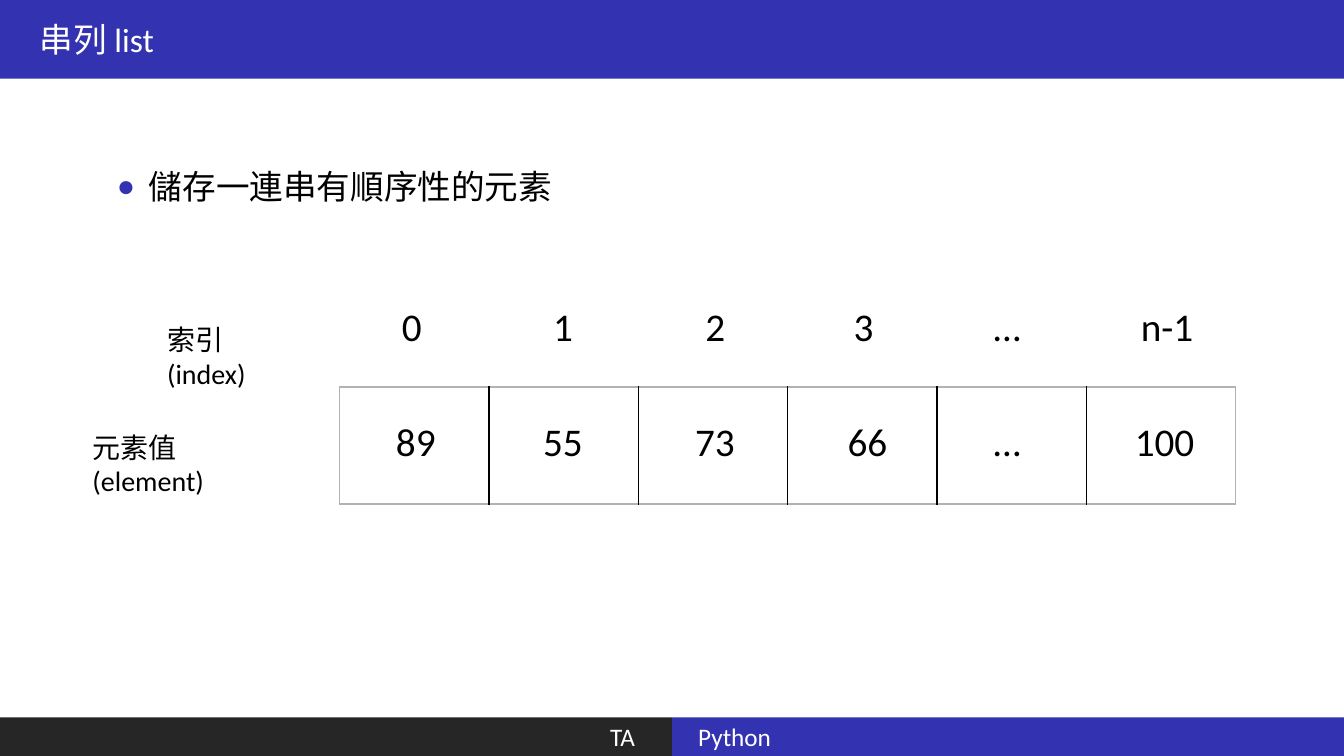
import pptx
import pptx.dml.color
import pptx.enum.shapes
import pptx.enum.text
import pptx.oxml
import pptx.oxml.ns
import pptx.util
from pptx.util import Cm

RGBColor = pptx.dml.color.RGBColor
BLUE = RGBColor(0x33, 0x33, 0xB2)
DARK = RGBColor(0x26, 0x26, 0x26)
GRAY = RGBColor(0xB2, 0xB2, 0xB2)
WHITE = RGBColor(0xFF, 0xFF, 0xFF)
BLACK = RGBColor(0, 0, 0)

ALIGN = pptx.enum.text.PP_ALIGN
ANCHOR = pptx.enum.text.MSO_ANCHOR
AUTO_SIZE = pptx.enum.text.MSO_AUTO_SIZE

SLIDE_W, SLIDE_H = Cm(33.87), Cm(19.05)
FOOTER_H = Cm(0.97)

INDEXES = [("0", 9.88, 1.02), ("1", 13.69, 1.02), ("2", 17.53, 1.02),
           ("3", 21.26, 1.02), ("…", 24.79, 1.19), ("n-1", 28.5, 1.85)]
ELEMENTS = [("89", 9.73, 1.52), ("55", 13.44, 1.52), ("73", 17.27, 1.52),
            ("66", 21.11, 1.52), ("…", 24.79, 1.19), ("100", 28.35, 2.03)]


def place(sp, left, top, width, height):
    sp.left, sp.top, sp.width, sp.height = left, top, width, height


def add_run(p, text, size, color):
    r = p.add_run()
    r.text = text
    r.font.name = "Calibri"
    r.font.size = pptx.util.Pt(size)
    r.font.color.rgb = color


def fill_bar(sp, color, text, size, align, inset):
    sp.fill.solid()
    sp.fill.fore_color.rgb = color
    tf = sp.text_frame
    tf.auto_size = AUTO_SIZE.NONE
    tf.vertical_anchor = ANCHOR.MIDDLE
    tf.margin_left = tf.margin_right = inset
    p = tf.paragraphs[0]
    p.alignment = align
    add_run(p, text, size, WHITE)


def add_footer(slide, left, color, text, align, inset):
    sp = slide.shapes.add_shape(pptx.enum.shapes.MSO_SHAPE.RECTANGLE, left,
                                SLIDE_H - FOOTER_H, SLIDE_W // 2, FOOTER_H)
    sp.shadow.inherit = False
    sp.line.fill.background()
    fill_bar(sp, color, text, 18, align, inset)


def format_bullet(sp, text):
    place(sp, Cm(2.69), Cm(4.06), Cm(12.01), Cm(1.27))
    tf = sp.text_frame
    tf.auto_size = AUTO_SIZE.NONE
    p = tf.paragraphs[0]
    p.space_before = pptx.util.Pt(0)
    add_run(p, text, 24, BLACK)
    pPr = p._p.get_or_add_pPr()
    pPr.set("marL", str(Cm(0.81)))
    pPr.set("indent", str(-Cm(0.81)))
    ns = pptx.oxml.ns.nsdecls("a")
    for xml in (f'<a:buClr {ns}><a:srgbClr val="{BLUE}"/></a:buClr>',
                f'<a:buSzPct {ns} val="110000"/>',
                f'<a:buFont {ns} typeface="Calibri"/>',
                f'<a:buChar {ns} char="•"/>'):
        pPr.append(pptx.oxml.parse_xml(xml))


def set_border(cell, side, color):
    ns = pptx.oxml.ns.nsdecls("a")
    return cell._tc.get_or_add_tcPr().append(pptx.oxml.parse_xml(
        f'<a:{side} {ns} w="{pptx.util.Pt(1)}"><a:solidFill>'
        f'<a:srgbClr val="{color}"/></a:solidFill></a:{side}>'))


def add_list_table(slide, count):
    frame = slide.shapes.add_table(1, count, Cm(8.56), Cm(9.75),
                                   Cm(22.58), Cm(2.95))
    table = frame.table
    table.first_row = table.horz_banding = False
    for i, cell in enumerate(table.iter_cells()):
        set_border(cell, "lnL", BLACK if i else GRAY)
        set_border(cell, "lnR", BLACK if i < count - 1 else GRAY)
        set_border(cell, "lnT", GRAY)
        set_border(cell, "lnB", GRAY)
        cell.fill.background()


def add_values(slide, values, top):
    for text, left, width in values:
        sp = slide.shapes.add_textbox(Cm(left), top, Cm(width), Cm(1.45))
        tf = sp.text_frame
        tf.word_wrap = False
        tf.auto_size = AUTO_SIZE.SHAPE_TO_FIT_TEXT
        add_run(tf.paragraphs[0], text, 28, BLACK)


def add_label(slide, left, top, width, name, term):
    sp = slide.shapes.add_textbox(left, top, width, Cm(1.12))
    tf = sp.text_frame
    tf.word_wrap = True
    p = tf.paragraphs[0]
    add_run(p, name, 20, BLACK)
    p.add_line_break()
    add_run(p, term, 20, BLACK)


def main():
    prs = pptx.Presentation()
    prs.slide_width, prs.slide_height = SLIDE_W, SLIDE_H
    slide = prs.slides.add_slide(prs.slide_layouts[1])

    title = slide.shapes.title
    place(title, 0, 0, SLIDE_W, Cm(1.98))
    fill_bar(title, BLUE, "串列 list", 24, ALIGN.LEFT, Cm(1))
    format_bullet(slide.placeholders[1], "儲存一連串有順序性的元素")

    add_footer(slide, SLIDE_W // 2, BLUE, "Python", ALIGN.LEFT, Cm(0.66))
    add_footer(slide, 0, DARK, "TA", ALIGN.RIGHT, Cm(0.93))

    add_list_table(slide, len(ELEMENTS))
    add_values(slide, INDEXES, Cm(7.49))
    add_values(slide, ELEMENTS, Cm(10.39))
    add_label(slide, Cm(3.96), Cm(8), Cm(3.94), "索引", "(index)")
    add_label(slide, Cm(2.08), Cm(10.72), Cm(5.49), "元素值", "(element)")

    prs.save("out.pptx")


if __name__ == "__main__":
    main()
